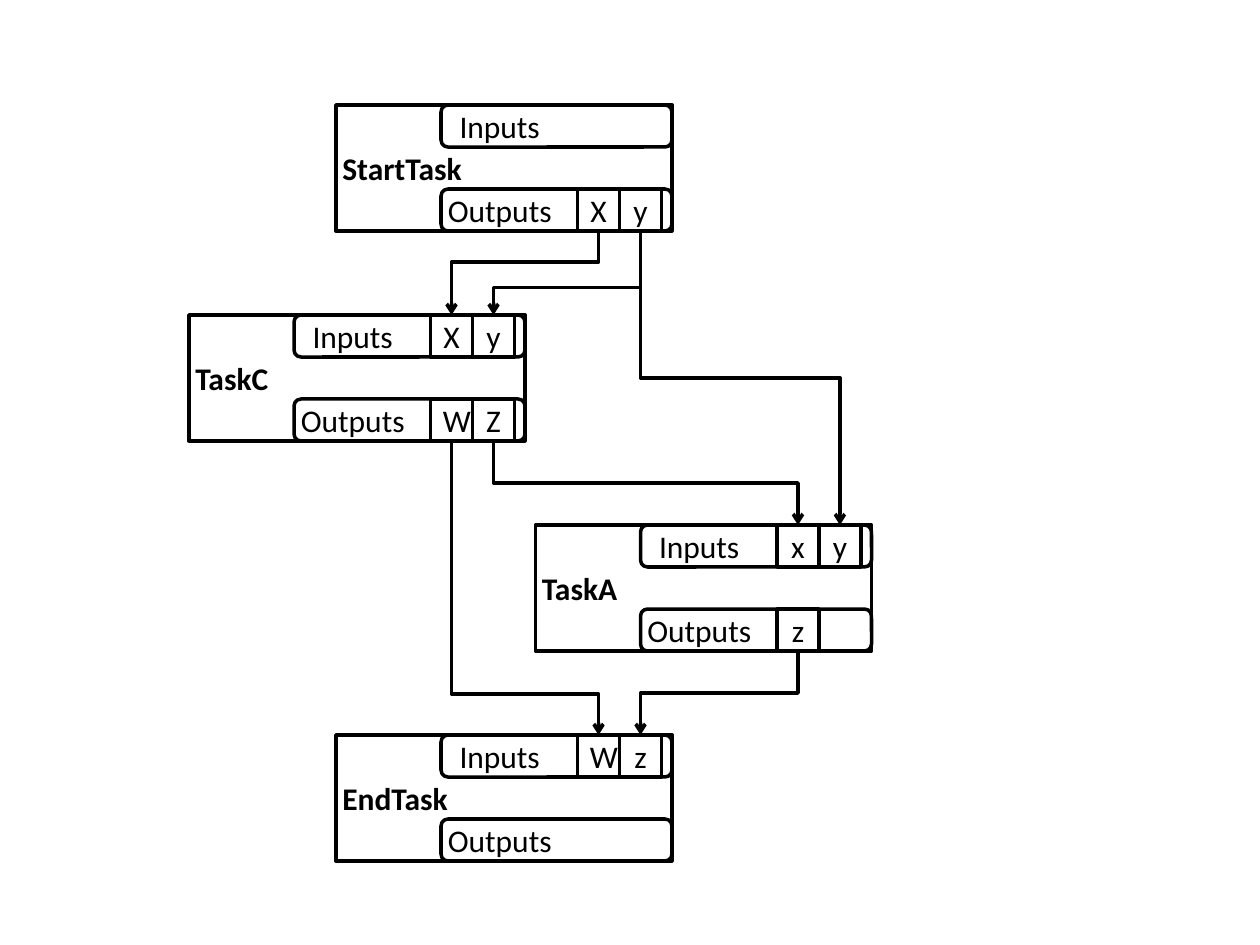
"""Draw a task graph whose outputs feed the inputs of later tasks."""
from dataclasses import dataclass

from lxml.etree import SubElement
from pptx import Presentation
from pptx.dml.color import RGBColor
from pptx.enum.shapes import MSO_CONNECTOR, MSO_SHAPE
from pptx.enum.text import MSO_ANCHOR, PP_ALIGN
from pptx.oxml.ns import qn
from pptx.util import Pt


@dataclass(frozen=True)
class Theme:
    ink: RGBColor = RGBColor(0, 0, 0)
    paper: RGBColor = RGBColor(255, 255, 255)
    font: str = "Calibri"
    size: int = 18
    line: int = 2
    unit: int = 24
    task_width: int = 192
    row_left: int = 60
    cell_left: int = 138


class Diagram:
    def __init__(self, slide, theme):
        self.slide, self.theme = slide, theme

    def box(self, shapes, kind, x, y, w, h, text, align=PP_ALIGN.CENTER,
            anchor=MSO_ANCHOR.MIDDLE, inset=None, bold=False, filled=False):
        t = self.theme
        sp = shapes.add_shape(kind, Pt(x), Pt(y), Pt(w), Pt(h))
        sp.shadow.inherit = False
        if filled:
            sp.fill.solid()
            sp.fill.fore_color.rgb = t.paper
        else:
            sp.fill.background()
        sp.line.color.rgb = t.ink
        sp.line.width = Pt(t.line)
        tf = sp.text_frame
        tf.word_wrap = True
        tf.vertical_anchor = anchor
        if inset is not None:
            tf.margin_left = Pt(inset)
            tf.margin_right = tf.margin_top = tf.margin_bottom = 0
        p = tf.paragraphs[0]
        p.alignment = align
        r = p.add_run()
        r.text = text
        r.font.name, r.font.size, r.font.bold = t.font, Pt(t.size), bold
        r.font.color.rgb = t.ink
        return sp

    def row(self, shapes, x, y, label, names):
        t = self.theme
        sp = self.box(shapes, MSO_SHAPE.ROUNDED_RECTANGLE, x + t.row_left, y,
                      t.task_width - t.row_left, t.unit, label,
                      anchor=MSO_ANCHOR.TOP, inset=0)
        sp.text_frame._txBody.bodyPr.set("numCol", "2")
        for i, name in enumerate(names):
            self.box(shapes, MSO_SHAPE.RECTANGLE, x + t.cell_left + i * t.unit,
                     y, t.unit, t.unit, name)

    def task(self, name, x, y, inputs, outputs):
        t = self.theme
        shapes = self.slide.shapes.add_group_shape().shapes
        height = 3 * t.unit
        self.box(shapes, MSO_SHAPE.RECTANGLE, x, y, t.task_width, height, name,
                 align=PP_ALIGN.LEFT, inset=3.6, bold=True, filled=True)
        self.row(shapes, x, y, "Inputs", inputs)
        self.row(shapes, x, y + 2 * t.unit, "Outputs", outputs)
        centres = [x + t.cell_left + (i + 0.5) * t.unit for i in range(2)]
        return {"in": [(c, y) for c in centres],
                "out": [(c, y + height) for c in centres]}

    def arrow(self, start, end, bend=0.5):
        (x1, y1), (x2, y2) = start, end
        w, h = y2 - y1, abs(x2 - x1)
        left, top = (x1 + x2 - w) / 2, (y1 + y2 - h) / 2
        rightward = x2 > x1
        xs = (left + w, left) if rightward else (left, left + w)
        c = self.slide.shapes.add_connector(
            MSO_CONNECTOR.ELBOW, Pt(xs[0]), Pt(top), Pt(xs[1]), Pt(top + h))
        c.line.color.rgb = self.theme.ink
        c.line.width = Pt(self.theme.line)
        spPr = c._element.spPr
        spPr.find(qn("a:xfrm")).set("rot", str((270 if rightward else 90) * 60000))
        SubElement(spPr.find(qn("a:prstGeom")).find(qn("a:avLst")), qn("a:gd"),
                   name="adj1", fmla=f"val {round(bend * 100000)}")
        SubElement(spPr.find(qn("a:ln")), qn("a:tailEnd"), type="arrow")
        SubElement(spPr, qn("a:effectLst"))


prs = Presentation()
prs.slide_width, prs.slide_height = Pt(720), Pt(540)
d = Diagram(prs.slides.add_slide(prs.slide_layouts[6]), Theme())

start = d.task("StartTask", 192, 60, "", "Xy")
task_a = d.task("TaskA", 306, 300, "xy", "z")
end = d.task("EndTask", 192, 420, "Wz", "")
task_c = d.task("TaskC", 108, 180, "Xy", "WZ")

d.arrow(start["out"][1], task_a["in"][1])
d.arrow(task_a["out"][0], end["in"][1])
d.arrow(task_c["out"][1], task_a["in"][0])
d.arrow(task_c["out"][0], end["in"][0], 0.86)
d.arrow(start["out"][1], task_c["in"][1], 0.67)
d.arrow(start["out"][0], task_c["in"][0], 0.37)

prs.save("out.pptx")
